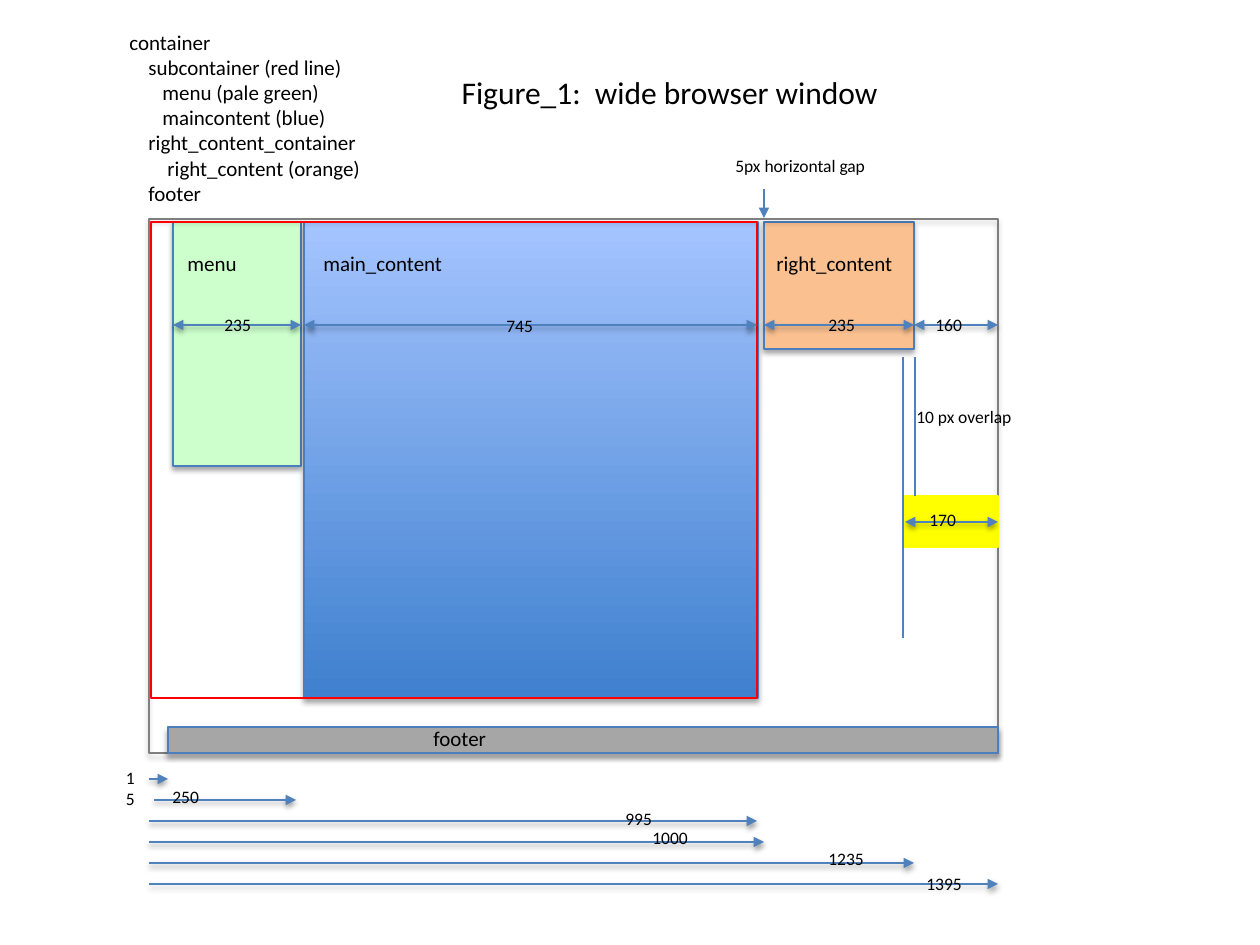
from lxml import etree
from pptx import Presentation
from pptx.dml.color import RGBColor
from pptx.enum.shapes import MSO_CONNECTOR, MSO_SHAPE
from pptx.enum.text import MSO_ANCHOR, MSO_AUTO_SIZE, PP_ALIGN
from pptx.oxml.ns import qn
from pptx.util import Pt

PX = 914400 // 126
RECT = MSO_SHAPE.RECTANGLE
STRAIGHT = MSO_CONNECTOR.STRAIGHT
TOP, LEFT, GROW = MSO_ANCHOR.TOP, PP_ALIGN.LEFT, MSO_AUTO_SIZE.SHAPE_TO_FIT_TEXT

BLACK = RGBColor(0x00, 0x00, 0x00)
GREEN = RGBColor(0xCC, 0xFF, 0xCC)
ORANGE = RGBColor(0xFA, 0xC0, 0x90)
YELLOW = RGBColor(0xFF, 0xFF, 0x00)
GRAY = RGBColor(0xA6, 0xA6, 0xA6)
DARK_GRAY = RGBColor(0x7F, 0x7F, 0x7F)
RED = RGBColor(0xFF, 0x00, 0x00)
EDGE = RGBColor(0x4B, 0x7E, 0xBC)
ARROW = RGBColor(0x4F, 0x81, 0xBD)
BLUE_LOW = RGBColor(0x3F, 0x80, 0xCE)
BLUE_HIGH = RGBColor(0xA4, 0xC4, 0xFF)


def set_effects(shape, opacity, distance):
    effects = etree.SubElement(shape._element.spPr, qn("a:effectLst"))
    if opacity:
        shadow = etree.SubElement(effects, qn("a:outerShdw"), blurRad=str(Pt(3.1)),
                                  dist=str(Pt(distance)), dir="5400000", rotWithShape="0")
        color = etree.SubElement(shadow, qn("a:srgbClr"), val="000000")
        etree.SubElement(color, qn("a:alpha"), val=str(opacity * 1000))


def write_text(shape, lines, size, wrap=False):
    tf = shape.text_frame
    tf.word_wrap = wrap
    tf.auto_size = GROW
    tf.vertical_anchor = TOP
    for i, (text, indent) in enumerate(lines):
        p = tf.add_paragraph() if i else tf.paragraphs[0]
        p.alignment = LEFT
        if indent:
            p._p.get_or_add_pPr().set("marL", str(indent * PX))
        r = p.add_run()
        r.text = text
        r.font.name = "Calibri"
        r.font.size = Pt(size)
        r.font.color.rgb = BLACK


prs = Presentation()
prs.slide_width, prs.slide_height = 1260 * PX, 945 * PX
s = prs.slides.add_slide(prs.slide_layouts[5])

title = s.shapes.title
title.left, title.top, title.width, title.height = [v * PX for v in (449, 67, 446, 50)]
write_text(title, [("Figure_1:  wide browser window", 0)], 18)

boxes = [
    (173, 222, 128, 244, GREEN, EDGE, True),
    (304, 222, 454, 476, BLUE_LOW, EDGE, True),
    (764, 222, 150, 127, ORANGE, EDGE, True),
    (149, 219, 849, 534, None, DARK_GRAY, True),
    (905, 496, 93, 51, YELLOW, YELLOW, False),
    (168, 727, 830, 26, GRAY, EDGE, True),
    (151, 222, 606, 476, None, RED, False),
]
for x, y, w, h, fill, line, shadow in boxes:
    sp = s.shapes.add_shape(RECT, x * PX, y * PX, w * PX, h * PX)
    if fill == BLUE_LOW:
        sp.fill.gradient()
        sp.fill.gradient_angle = 90
        for stop, color in zip(sp.fill.gradient_stops, (BLUE_LOW, BLUE_HIGH)):
            stop.color.rgb = color
    elif fill is None:
        sp.fill.background()
    else:
        sp.fill.solid()
        sp.fill.fore_color.rgb = fill
    sp.line.color.rgb = line
    sp.line.width = Pt(0.75)
    set_effects(sp, 35 if shadow else 0, 1.8)

ruler_spans = [(149, 168), (154, 296), (149, 757), (149, 764), (149, 914), (149, 998)]
rulers = [(x1, 779 + 21 * i, x2, 779 + 21 * i, 1, ("tailEnd",))
          for i, (x1, x2) in enumerate(ruler_spans)]
width_spans = [(764, 914, 325), (905, 998, 522), (914, 998, 325), (173, 301, 325), (304, 757, 325)]
widths = [(x1, y, x2, y, 1, ("headEnd", "tailEnd")) for x1, x2, y in width_spans]
guides = [
    (764, 189, 764, 218, 0.75, ("tailEnd",)),
    (915, 357, 915, 496, 0.75, ()),
    (903, 357, 903, 638, 0.75, ()),
]
for x1, y1, x2, y2, weight, ends in rulers + widths + guides:
    line = s.shapes.add_connector(STRAIGHT, x1 * PX, y1 * PX, x2 * PX, y2 * PX)
    line.line.color.rgb = ARROW
    line.line.width = Pt(weight)
    for end in ends:
        etree.SubElement(line.line._get_or_add_ln(), qn("a:" + end), type="triangle")
    set_effects(line, 38 if weight == 1 else 0, 1.6)

labels = [
    ("1395", 914, 867, 62, 10),
    ("5px horizontal gap", 723, 149, 156, 10),
    ("745", 494, 309, 53, 10), ("235", 212, 308, 53, 10),
    ("235", 816, 308, 53, 10), ("170", 917, 503, 53, 10),
    ("160", 923, 308, 53, 10), ("250", 160, 780, 53, 10),
    ("995", 613, 802, 53, 10), ("1000", 640, 821, 62, 10),
    ("1235", 816, 842, 62, 10), ("10 px overlap", 904, 400, 139, 10),
    ("menu", 175, 244, 76, 12), ("main_content", 311, 244, 146, 12),
    ("right_content", 764, 244, 142, 12), ("footer", 421, 719, 78, 12),
]
for text, x, y, w, size in labels:
    tb = s.shapes.add_textbox(x * PX, y * PX, w * PX, (34 if size == 10 else 38) * PX)
    write_text(tb, [(text, 0)], size, wrap=text == "10 px overlap")

offset_label = s.shapes.add_textbox(126 * PX, 761 * PX, 12 * PX, 55 * PX)
offset_label.text_frame.margin_left = offset_label.text_frame.margin_right = 0
write_text(offset_label, [("15", 0)], 10, wrap=True)

outline = [
    ("container", 0),
    ("subcontainer (red line)", 19),
    ("menu (pale green)", 33),
    ("maincontent (blue)", 33),
    ("right_content_container", 19),
    ("right_content (orange)", 38),
    ("footer", 19),
]
tb = s.shapes.add_textbox(117 * PX, 23 * PX, 258 * PX, 190 * PX)
write_text(tb, outline, 12)

prs.save("out.pptx")
